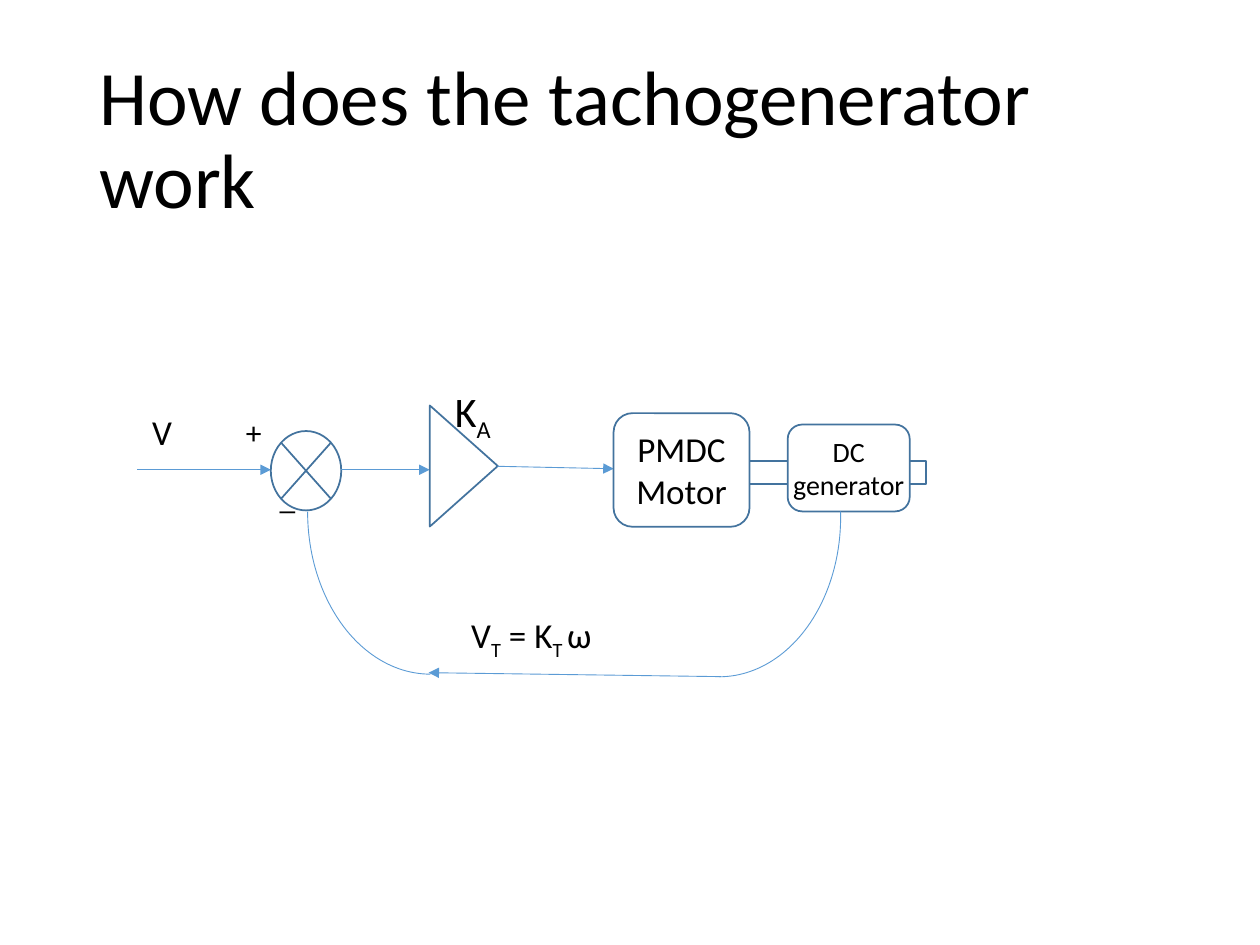
from dataclasses import dataclass

from lxml import etree
from pptx import Presentation
from pptx.dml.color import RGBColor
from pptx.enum.shapes import MSO_CONNECTOR, MSO_SHAPE
from pptx.enum.text import MSO_ANCHOR, PP_ALIGN
from pptx.oxml.ns import qn
from pptx.slide import Slide
from pptx.util import Cm, Pt

STRAIGHT = MSO_CONNECTOR.STRAIGHT
ARC = MSO_SHAPE.ARC
RECTANGLE = MSO_SHAPE.RECTANGLE
ROUNDED = MSO_SHAPE.ROUNDED_RECTANGLE
SUMMING = MSO_SHAPE.FLOWCHART_SUMMING_JUNCTION
TRIANGLE = MSO_SHAPE.ISOSCELES_TRIANGLE
TOP, MIDDLE = MSO_ANCHOR.TOP, MSO_ANCHOR.MIDDLE
LEFT, CENTER = PP_ALIGN.LEFT, PP_ALIGN.CENTER

COLORS = {"paper": "FFFFFF", "ink": "000000", "signal": "5B9BD5", "outline": "43739E"}
SIGNAL_Y = 9.47
SUBSCRIPT = "-25000"
FLUSH = {"margin_left": 0, "margin_right": 0, "margin_top": 0, "margin_bottom": 0}


@dataclass
class Diagram:
    """Holds the style and the current slide, and draws each kind of element."""

    page: Slide
    font: str = "Calibri"
    signal_width: float = 0.5
    outline_width: float = 1

    def color(self, name):
        return RGBColor.from_string(COLORS[name])

    def add_text(self, box, spans, size, align, spacing=None, **frame_format):
        frame = box.text_frame
        for name, value in {"word_wrap": True, **frame_format}.items():
            setattr(frame, name, value)
        para = frame.paragraphs[0]
        for name, value in {"alignment": align, "line_spacing": spacing}.items():
            setattr(para, name, value)
        for index, text in enumerate(spans):
            span = para.add_run()
            span.text = text
            for name, value in {"name": self.font, "size": Pt(size)}.items():
                setattr(span.font, name, value)
            span.font.color.rgb = self.color("ink")
            if index % 2:
                span._r.get_or_add_rPr().set("baseline", SUBSCRIPT)

    def label(self, place, spans, size, filled=True, **text_format):
        box = self.page.shapes.add_textbox(*map(Cm, place))
        if filled:
            box.fill.solid()
            box.fill.fore_color.rgb = self.color("paper")
        self.add_text(box, spans, size, LEFT, **text_format)

    def block(self, kind, place, rotation=0):
        shape = self.page.shapes.add_shape(kind, *map(Cm, place))
        shape.shadow.inherit = False
        shape.rotation = rotation
        shape.fill.solid()
        shape.fill.fore_color.rgb = self.color("paper")
        shape.line.color.rgb = self.color("outline")
        shape.line.width = Pt(self.outline_width)
        return shape

    def machine(self, place, text, size, **text_format):
        shape = self.block(ROUNDED, place)
        self.add_text(shape, [text], size, CENTER, vertical_anchor=MIDDLE, **text_format)

    def curve(self, place, rotation, start=None):
        arc = self.block(ARC, place, rotation)
        arc.fill.background()
        arc.line.color.rgb = self.color("signal")
        arc.line.width = Pt(self.signal_width)
        if start is not None:
            arc.adjustments[0] = start
            arc.adjustments[1] = 216

    def arrow(self, *ends):
        line = self.page.shapes.add_connector(STRAIGHT, *map(Cm, ends))
        line.line.color.rgb = self.color("signal")
        line.line.width = Pt(self.signal_width)
        properties = line._element.spPr
        etree.SubElement(properties.find(qn("a:ln")), qn("a:tailEnd"), type="triangle")
        etree.SubElement(properties, qn("a:effectLst"))


def main():
    deck = Presentation()
    deck.slide_width, deck.slide_height = Cm(25.4), Cm(19.05)
    diagram = Diagram(deck.slides.add_slide(deck.slide_layouts[6]))

    diagram.label((1.75, 1.02, 21.89, 3.68), ["How does the tachogenerator work"], 44,
                  filled=False, vertical_anchor=MIDDLE, spacing=0.9)

    diagram.label((8.92, 7.65, 1.75, 1.27), ["K", "A"], 24, vertical_anchor=TOP)
    diagram.label((5.21, 9.63, 0.94, 1.22), ["_"], 18, **{**FLUSH, "margin_left": Cm(0.43)})
    diagram.arrow(2.77, SIGNAL_Y, 5.46, SIGNAL_Y)
    diagram.block(SUMMING, (5.46, 8.69, 1.42, 1.6))
    diagram.arrow(6.88, SIGNAL_Y, 8.66, SIGNAL_Y)
    diagram.block(TRIANGLE, (8.13, 8.71, 2.44, 1.37), rotation=90)
    diagram.arrow(10.03, 9.4, 12.37, 9.45)

    diagram.block(RECTANGLE, (15.09, 9.3, 3.58, 0.46))
    diagram.machine((12.37, 8.33, 2.74, 2.29), "PMDC Motor", 20)
    diagram.machine((15.88, 8.56, 2.46, 1.75), "DC generator", 16, **FLUSH)

    diagram.curve((11.28, 7.98, 6.43, 4.9), rotation=90, start=160.33)
    diagram.curve((6.2, 7.04, 4.95, 6.55), rotation=180)
    diagram.arrow(14.53, 13.64, 8.64, 13.56)

    diagram.label((2.82, 8.15, 1.37, 1.12), ["V"], 20)
    diagram.label((9.25, 12.24, 3.05, 1.12), ["V", "T", " = K", "T ", "ω"], 20)
    diagram.label((4.67, 8.33, 0.74, 0.84), ["+"], 18, **{**FLUSH, "margin_left": Cm(0.29)})
    deck.save("out.pptx")


if __name__ == "__main__":
    main()
